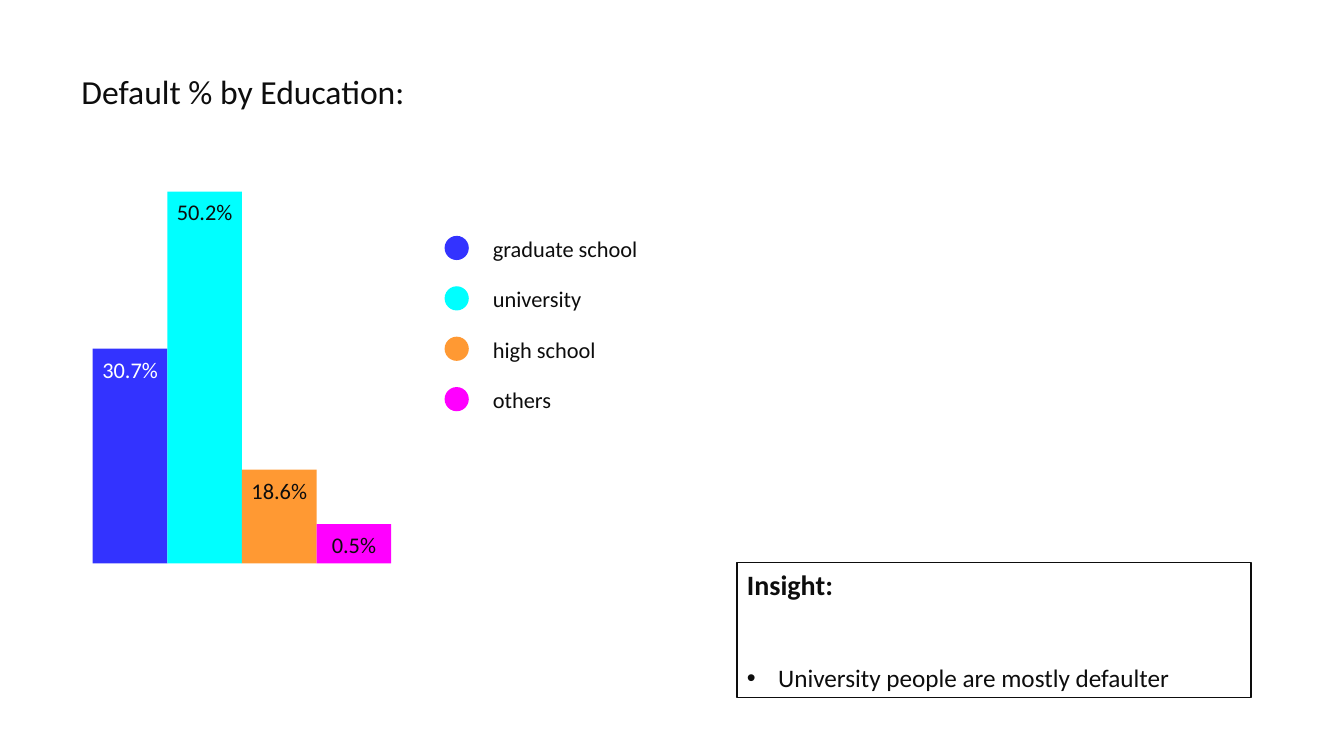
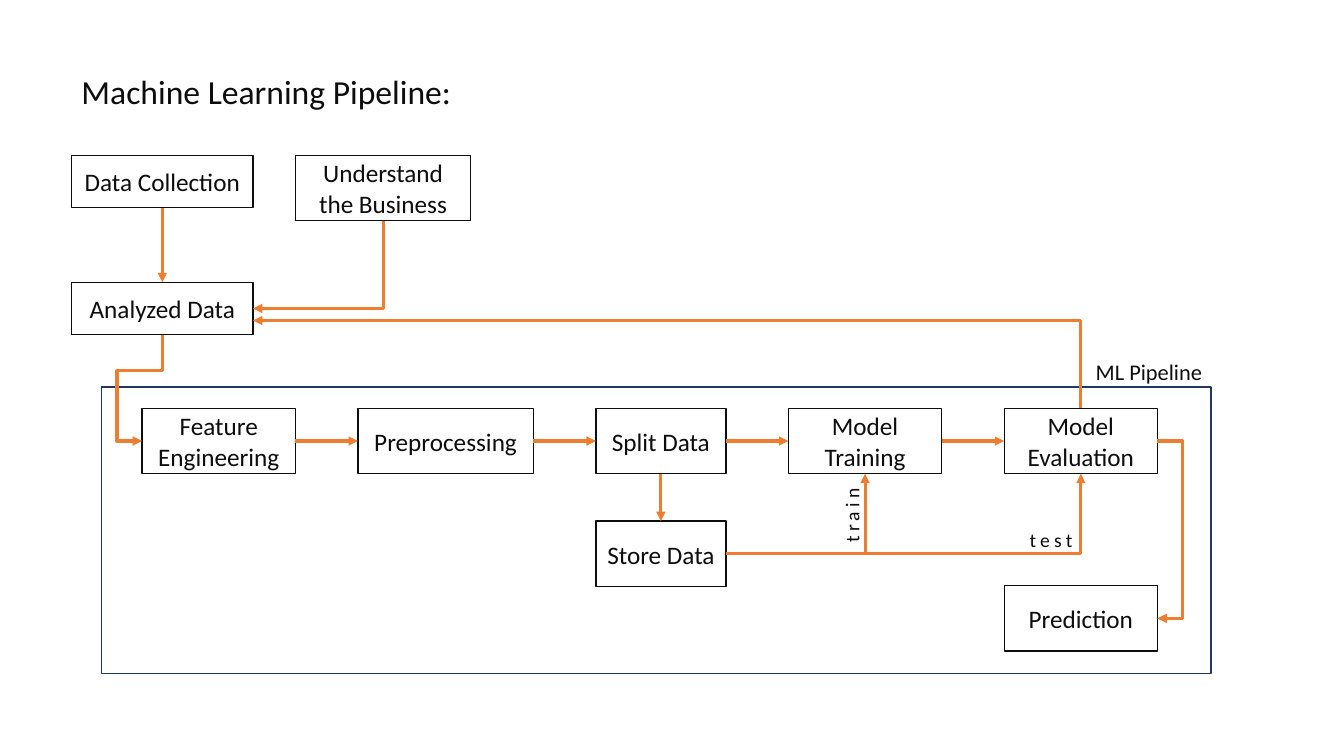
import lxml.etree
import pptx
import pptx.dml.color
import pptx.enum.shapes
import pptx.enum.text
import pptx.oxml.ns
import pptx.util

Inches = pptx.util.Inches
Pt = pptx.util.Pt
qn = pptx.oxml.ns.qn
SHAPE = pptx.enum.shapes.MSO_SHAPE
ALIGN = pptx.enum.text.PP_ALIGN
ANCHOR = pptx.enum.text.MSO_ANCHOR

COLORS = {
    "ink": "0D0D0D", "white": "FFFFFF", "frame": "203864", "arrow": "ED7D31",
    "blue": "3333FF", "cyan": "00FFFF", "orange": "FF9933", "magenta": "FF00FF",
}
FONT = "Calibri"
TOP, LEFT, BOTTOM, RIGHT = range(4)


def rgb(name):
    return pptx.dml.color.RGBColor.from_string(COLORS[name])


def set_attrs(obj, values):
    for name, value in values.items():
        setattr(obj, name, value)


def add_run(p, text, size, color="ink", bold=False):
    r = p.add_run()
    r.text = text
    set_attrs(r.font, {"name": FONT, "size": Pt(size), "bold": bold})
    r.font.color.rgb = rgb(color)
    return r


def set_text(sp, text, size, color="ink", align=ALIGN.CENTER, **frame):
    tf = sp.text_frame
    set_attrs(tf, {"word_wrap": True, "vertical_anchor": ANCHOR.MIDDLE, **frame})
    p = tf.paragraphs[0]
    p.alignment = align
    return add_run(p, text, size, color)


def add_label(s, box, text, size, align=ALIGN.LEFT, **frame):
    sp = s.shapes.add_textbox(*map(Inches, box))
    return sp, set_text(sp, text, size, align=align, **frame)


def add_shape(s, kind, box, fill=None, line=None):
    sp = s.shapes.add_shape(kind, *map(Inches, box))
    sp.shadow.inherit = False
    if fill:
        sp.fill.solid()
        sp.fill.fore_color.rgb = rgb(fill)
    else:
        sp.fill.background()
    if line:
        sp.line.color.rgb = rgb(line)
        sp.line.width = Pt(1)
    else:
        sp.line.fill.background()
    return sp


def add_slide(prs, title):
    s = prs.slides.add_slide(prs.slide_layouts[6])
    add_label(s, (0.71, 0.58, 11, 0.64), title, 24)
    return s


# Arrows
def style_arrow(sp):
    sp.line.color.rgb = rgb("arrow")
    sp.line.width = Pt(2.25)
    lxml.etree.SubElement(sp.line._get_or_add_ln(), qn("a:tailEnd"), type="triangle")


def add_arrow(s, start, start_side, end, end_side):
    c = s.shapes.add_connector(pptx.enum.shapes.MSO_CONNECTOR.STRAIGHT, 0, 0, 0, 0)
    c.begin_connect(start, start_side)
    c.end_connect(end, end_side)
    style_arrow(c)
    lxml.etree.SubElement(c._element.spPr, qn("a:effectLst"))


def add_bent_arrow(s, *points):
    first, *rest = [(Inches(x), Inches(y)) for x, y in points]
    fb = s.shapes.build_freeform(*first)
    fb.add_line_segments(rest, close=False)
    sp = fb.convert_to_shape()
    sp.fill.background()
    sp.shadow.inherit = False
    style_arrow(sp)


# Education slide
EDUCATION = [  # level, share, bar height, bar colour, text colour
    ("graduate school", "30.7%", 2.13, "blue", "white"),
    ("university", "50.2%", 3.69, "cyan", "ink"),
    ("high school", "18.6%", 0.93, "orange", "ink"),
    ("others", "0.5%", 0.39, "magenta", "ink"),
]


def add_bars(s, left, base, width):
    # The bar heights are illustrative, not proportional to the shares
    for i, (_, share, height, fill, color) in enumerate(EDUCATION):
        sp = add_shape(s, SHAPE.RECTANGLE,
                       (left + i * width, base - height, width, height), fill)
        set_text(sp, share, 16, color, vertical_anchor=ANCHOR.TOP,
                 margin_left=0, margin_right=0, margin_top=Inches(0.07), margin_bottom=0)


def add_legend(s, left, top, pitch):
    dot, height = 0.24, 0.39
    for i, (level, _, _, fill, _) in enumerate(EDUCATION):
        y = top + i * pitch
        add_shape(s, SHAPE.OVAL, (left, y + 0.07, dot, dot), fill)
        add_label(s, (left + 0.38, y, 1.87, height), level, 16)


def add_insight(s, box, text):
    sp = add_shape(s, SHAPE.RECTANGLE, box, line="ink")
    set_text(sp, "Insight:", 20, align=ALIGN.LEFT).font.bold = True
    p = sp.text_frame.add_paragraph()
    set_attrs(p, {"alignment": ALIGN.LEFT, "space_before": Pt(44)})
    add_run(p, text, 18)
    pPr = p._p.get_or_add_pPr()
    pPr.set("marL", str(Inches(0.31)))
    pPr.set("indent", str(-Inches(0.31)))
    lxml.etree.SubElement(pPr, qn("a:buFont"), typeface="Arial")
    lxml.etree.SubElement(pPr, qn("a:buChar"), char="•")


def education_slide(prs):
    s = add_slide(prs, "Default % by Education:")
    add_bars(s, 0.92, 5.59, 0.74)
    add_legend(s, 4.41, 2.27, 0.5)
    add_insight(s, (7.31, 5.58, 5.1, 1.34), "University people are mostly defaulter")


# Pipeline slide
ROW = 4.05  # top of the main row of steps
STEP_H = 0.65
STEPS = {
    "Data Collection": (0.71, 1.54, 1.8, 0.52),
    "Understand the Business": (2.93, 1.54, 1.74, STEP_H),
    "Analyzed Data": (0.71, 2.8, 1.8, 0.52),
    "Feature Engineering": (1.41, ROW, 1.52, STEP_H),
    "Preprocessing": (3.55, ROW, 1.74, STEP_H),
    "Split Data": (5.91, ROW, 1.29, STEP_H),
    "Model Training": (7.82, ROW, 1.52, STEP_H),
    "Model Evaluation": (9.96, ROW, 1.52, STEP_H),
    "Store Data": (5.91, 5.17, 1.29, STEP_H),
    "Prediction": (9.96, 5.81, 1.52, STEP_H),
}
MAIN_ROW = [name for name, box in STEPS.items() if box[1] == ROW]


def side(name, where):
    """Middle of one side of a step."""
    x, y, w, h = STEPS[name]
    return {TOP: (x + w / 2, y), LEFT: (x, y + h / 2),
            BOTTOM: (x + w / 2, y + h), RIGHT: (x + w, y + h / 2)}[where]


def add_steps(s):
    steps = {}
    for name, box in STEPS.items():
        steps[name] = add_shape(s, SHAPE.RECTANGLE, box, line="ink")
        set_text(steps[name], name, 18)
    return steps


def add_straight_flows(s, steps):
    for a, b in zip(MAIN_ROW, MAIN_ROW[1:]):
        add_arrow(s, steps[a], RIGHT, steps[b], LEFT)
    for a, b in [("Data Collection", "Analyzed Data"), ("Split Data", "Store Data")]:
        add_arrow(s, steps[a], BOTTOM, steps[b], TOP)


def add_bent_flows(s):
    # Into the analyzed data
    x, y = side("Analyzed Data", RIGHT)
    for name, where, end_y in [("Understand the Business", BOTTOM, y),
                               ("Model Evaluation", TOP, y + 0.12)]:
        start = side(name, where)
        add_bent_arrow(s, start, (start[0], end_y), (x, end_y))
    # Stored data to training and evaluation
    start = side("Store Data", RIGHT)
    for name in ("Model Training", "Model Evaluation"):
        end = side(name, BOTTOM)
        add_bent_arrow(s, start, (end[0], start[1]), end)
    # Analyzed data down into the pipeline
    start, end = side("Analyzed Data", BOTTOM), side("Feature Engineering", LEFT)
    turn_x, turn_y = end[0] - 0.25, 3.68
    add_bent_arrow(s, start, (start[0], turn_y), (turn_x, turn_y), (turn_x, end[1]), end)
    # Evaluation round to the prediction
    start, end = side("Model Evaluation", RIGHT), side("Prediction", RIGHT)
    turn_x = start[0] + 0.25
    add_bent_arrow(s, start, (turn_x, start[1]), (turn_x, end[1]), end)


def add_flow_labels(s):
    for text, box, turn in [("train", (8.05, 4.96, 0.79, 0.31), 270),
                            ("test", (10.06, 5.22, 0.73, 0.27), 0)]:
        sp, r = add_label(s, box, text, 14, ALIGN.CENTER, margin_left=0, margin_right=0)
        sp.rotation = turn
        r.font._element.set("spc", "300")


def pipeline_slide(prs):
    s = add_slide(prs, "Machine Learning Pipeline:")
    add_shape(s, SHAPE.RECTANGLE, (1.01, 3.84, 11, 2.84), line="frame")
    add_label(s, (10.76, 3.53, 1.26, 0.32), "ML Pipeline", 16, ALIGN.RIGHT)
    steps = add_steps(s)
    add_straight_flows(s, steps)
    add_bent_flows(s)
    add_flow_labels(s)


def main():
    prs = pptx.Presentation()
    set_attrs(prs, {"slide_width": Inches(13.33), "slide_height": Inches(7.5)})
    education_slide(prs)
    pipeline_slide(prs)
    prs.save("out.pptx")


if __name__ == "__main__":
    main()
